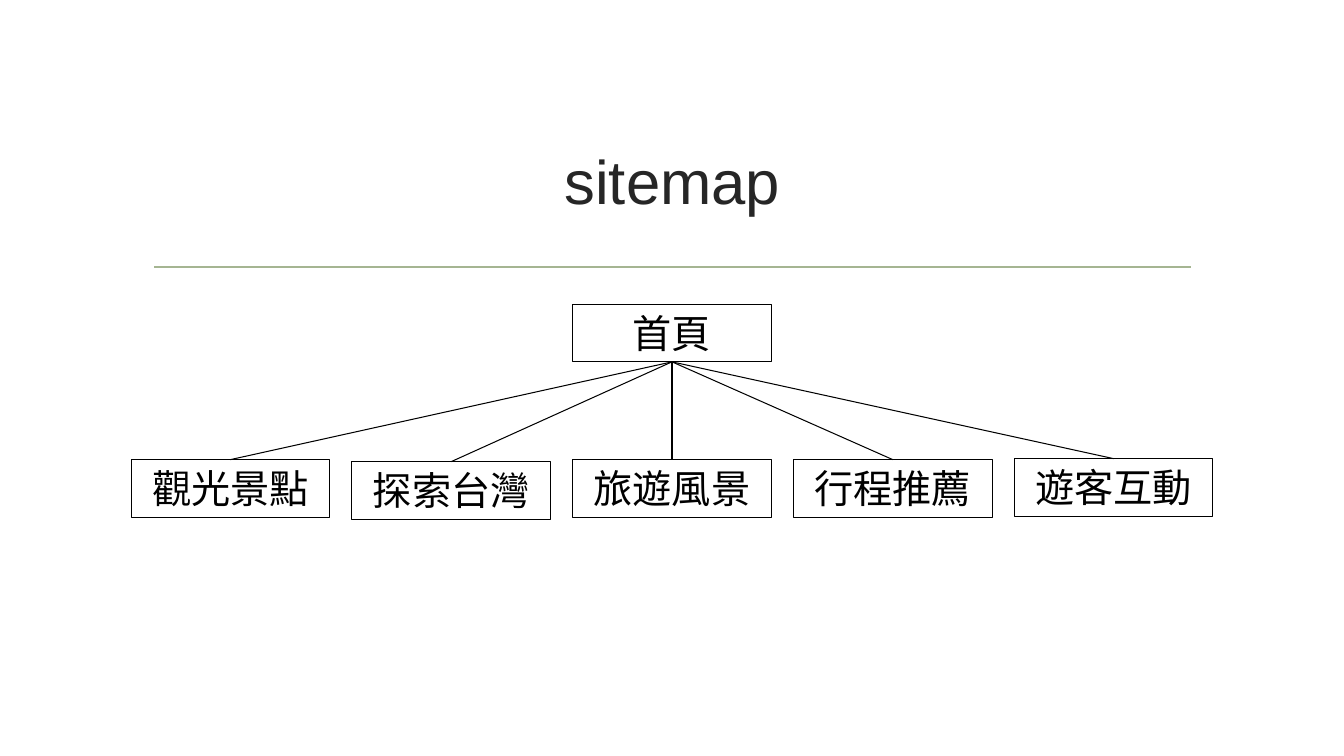
from dataclasses import dataclass

from lxml import etree
from pptx import Presentation
from pptx import util as u
from pptx.dml.color import RGBColor
from pptx.enum import shapes, text
from pptx.oxml.ns import qn

SLIDE_WIDTH, SLIDE_HEIGHT = 13.33, 7.5
CENTRE = 6.665
COLUMN_STEP = 2.19
BOX_WIDTH, BOX_HEIGHT = 1.97, 0.57
HOME_TOP, PAGES_TOP = 3.02, 4.56
BOTTOM_SIDE, TOP_SIDE = 2, 0
FONT = "Arial"
BLACK, TITLE_GREY, RULE_GREEN = "000000", "262626", "A5B592"


@dataclass(frozen=True)
class Page:
    label: str
    column: int  # counted from the middle column
    top: float = PAGES_TOP


HOME = Page("首頁", 0, HOME_TOP)
PAGES = [
    Page("觀光景點", -2),
    Page("探索台灣", -1, PAGES_TOP + 0.02),
    Page("旅遊風景", 0),
    Page("行程推薦", 1),
    Page("遊客互動", 2, PAGES_TOP - 0.01),
]


def colour(value: str) -> RGBColor:
    return RGBColor.from_string(value)


def write(shape, words: str, *, size: float, color: str, anchor) -> None:
    frame = shape.text_frame
    frame.word_wrap = True
    frame.vertical_anchor = anchor
    paragraph = frame.paragraphs[0]
    paragraph.alignment = text.PP_ALIGN.CENTER
    run = paragraph.add_run()
    run.text = words
    run.font.name = FONT
    run.font.size = u.Pt(size)
    run.font.color.rgb = colour(color)


def add_line(slide, start: tuple, end: tuple, *, color: str, width: float):
    line = slide.shapes.add_connector(
        shapes.MSO_CONNECTOR.STRAIGHT, *(u.Inches(n) for n in (*start, *end)))
    line.line.color.rgb = colour(color)
    line.line.width = u.Pt(width)
    etree.SubElement(line._element.spPr, qn("a:effectLst"))
    return line


def add_page(slide, page: Page):
    left = CENTRE + page.column * COLUMN_STEP - BOX_WIDTH / 2
    box = slide.shapes.add_shape(
        shapes.MSO_SHAPE.RECTANGLE, u.Inches(left), u.Inches(page.top),
        u.Inches(BOX_WIDTH), u.Inches(BOX_HEIGHT))
    box.shadow.inherit = False
    box.fill.background()
    box.line.color.rgb = colour(BLACK)
    box.line.width = u.Pt(0.75)
    write(box, page.label, size=28, color=BLACK, anchor=text.MSO_ANCHOR.TOP)
    box.text_frame.auto_size = text.MSO_AUTO_SIZE.SHAPE_TO_FIT_TEXT
    return box


def link(slide, parent, child) -> None:
    """Join the parent's bottom side to the child's top side."""
    line = add_line(slide, (0, 0), (1, 1), color=BLACK, width=0.75)
    line.begin_connect(parent, BOTTOM_SIDE)
    line.end_connect(child, TOP_SIDE)


def main() -> None:
    presentation = Presentation()
    presentation.slide_width = u.Inches(SLIDE_WIDTH)
    presentation.slide_height = u.Inches(SLIDE_HEIGHT)
    slide = presentation.slides.add_slide(presentation.slide_layouts[6])

    add_line(slide, (1.53, 2.65), (11.81, 2.65), color=RULE_GREEN, width=1.25)
    title = slide.shapes.add_textbox(
        u.Inches(1.42), u.Inches(1.07), u.Inches(10.5), u.Inches(1.43))
    write(title, "sitemap", size=44, color=TITLE_GREY, anchor=text.MSO_ANCHOR.MIDDLE)

    home = add_page(slide, HOME)
    children = [add_page(slide, page) for page in PAGES]
    for child in children:
        link(slide, home, child)

    presentation.save("out.pptx")


if __name__ == "__main__":
    main()
